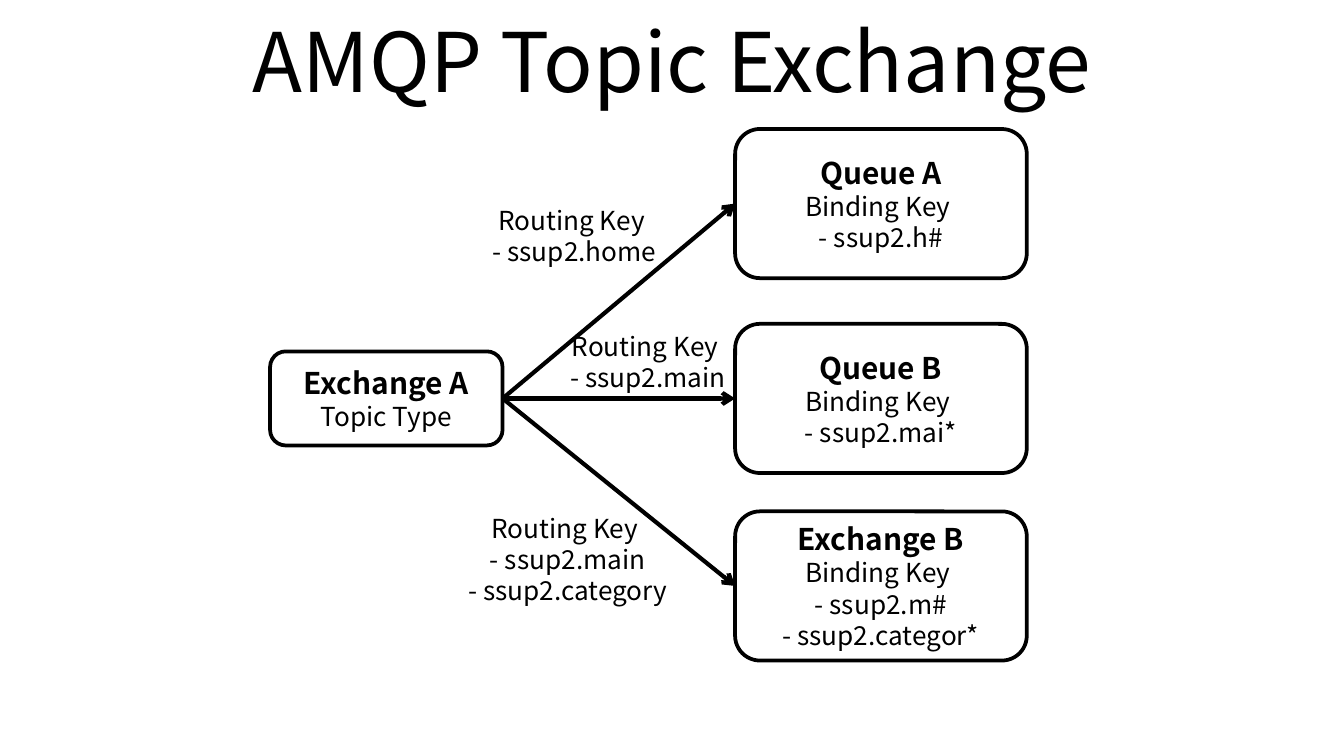
"""Build the AMQP topic exchange slide."""
from dataclasses import dataclass

from lxml import etree
from pptx import Presentation
from pptx.dml.color import RGBColor
from pptx.enum.shapes import MSO_CONNECTOR, MSO_SHAPE
from pptx.enum.text import MSO_ANCHOR, MSO_AUTO_SIZE, PP_ALIGN
from pptx.oxml.ns import qn
from pptx.util import Inches, Pt

ROUNDED = MSO_SHAPE.ROUNDED_RECTANGLE
STRAIGHT = MSO_CONNECTOR.STRAIGHT
MIDDLE = MSO_ANCHOR.MIDDLE
TOP = MSO_ANCHOR.TOP
CENTER = PP_ALIGN.CENTER
NO_FIT = MSO_AUTO_SIZE.NONE
GROW = MSO_AUTO_SIZE.SHAPE_TO_FIT_TEXT
LEFT_SIDE, RIGHT_SIDE = 1, 3
TITLE_ONLY = 5
COLUMNS, ROWS = 100, 56.25


@dataclass(frozen=True)
class Theme:
    """Hold the fonts, colours and sizes of the slide."""
    font: str = "Noto Sans CJK KR"
    ink: RGBColor = RGBColor(0, 0, 0)
    paper: RGBColor = RGBColor(255, 255, 255)
    title: int = 44
    heading: int = 16
    body: int = 14
    outline: float = 2
    arrow: float = 2.25


def write(frame, lines, theme, size, heading=None, anchor=TOP, fit=NO_FIT):
    """Fill a text frame with centred lines, under an optional bold heading."""
    frame.word_wrap = True
    frame.auto_size = fit
    frame.vertical_anchor = anchor
    rows = [(line, size, False) for line in lines]
    if heading:
        rows.insert(0, (heading, theme.heading, True))
    for index, (words, points, bold) in enumerate(rows):
        para = frame.paragraphs[0] if index == 0 else frame.add_paragraph()
        para.alignment = CENTER
        span = para.add_run()
        span.text = words
        span.font.name = theme.font
        span.font.size = Pt(points)
        span.font.bold = bold
        span.font.color.rgb = theme.ink


class Diagram:
    """Draw themed elements on one slide, placed by grid cells."""

    def __init__(self, deck, theme):
        """Add a title-only page to the deck."""
        self.theme = theme
        self.page = deck.slides.add_slide(deck.slide_layouts[TITLE_ONLY])
        self.column = deck.slide_width / COLUMNS
        self.row = deck.slide_height / ROWS

    def place(self, left, top, width, height):
        """Turn grid cells into slide lengths."""
        return (round(left * self.column), round(top * self.row),
                round(width * self.column), round(height * self.row))

    def title(self, words, *cells):
        """Place and write the title."""
        box = self.page.shapes.title
        box.left, box.top, box.width, box.height = self.place(*cells)
        write(box.text_frame, [words], self.theme, self.theme.title, anchor=MIDDLE)

    def node(self, heading, lines, *cells):
        """Draw a rounded box with a bold heading."""
        box = self.page.shapes.add_shape(ROUNDED, *self.place(*cells))
        box.shadow.inherit = False
        box.fill.solid()
        box.fill.fore_color.rgb = self.theme.paper
        box.line.color.rgb = self.theme.ink
        box.line.width = Pt(self.theme.outline)
        write(box.text_frame, lines, self.theme, self.theme.body, heading, MIDDLE)
        return box

    def label(self, lines, *cells):
        """Write a free-standing label."""
        box = self.page.shapes.add_textbox(*self.place(*cells))
        write(box.text_frame, lines, self.theme, self.theme.body, fit=GROW)

    def arrow(self, source, target):
        """Join the right side of one box to the left side of another."""
        line = self.page.shapes.add_connector(STRAIGHT, 0, 0, 0, 0)
        line.begin_connect(source, RIGHT_SIDE)
        line.end_connect(target, LEFT_SIDE)
        line.line.color.rgb = self.theme.ink
        line.line.width = Pt(self.theme.arrow)
        properties = line._element.spPr
        etree.SubElement(properties.find(qn("a:ln")), qn("a:tailEnd"), type="arrow")
        etree.SubElement(properties, qn("a:effectLst"))


def main():
    """Build and save the deck."""
    deck = Presentation()
    deck.slide_width = Inches(10)
    deck.slide_height = deck.slide_width * 9 // 16
    diagram = Diagram(deck, Theme())
    diagram.title("AMQP Topic Exchange", 5, -0.25, 90, 9.4)

    exchange = diagram.node("Exchange A", ["Topic Type"], 20.1, 26.15, 17.3, 7)
    targets = [
        ("Queue A", ["- ssup2.h#"], 9.6),
        ("Queue B", ["- ssup2.mai*"], 24.1),
        ("Exchange B", ["- ssup2.m#", "- ssup2.categor*"], 38.05),
    ]
    for heading, keys, top in targets:
        target = diagram.node(heading, ["Binding Key ", *keys], 54.7, top, 21.7, 11.1)
        diagram.arrow(exchange, target)

    diagram.label(["Routing Key ", "- ssup2.home"], 31.9, 14.7, 21.7, 5.7)
    diagram.label(["Routing Key", " - ssup2.main"], 36.6, 24.1, 22.8, 5.7)
    diagram.label(["Routing Key ", "- ssup2.main", "- ssup2.category"],
                  27.95, 37.6, 28.6, 8.1)
    deck.save("out.pptx")


if __name__ == "__main__":
    main()
